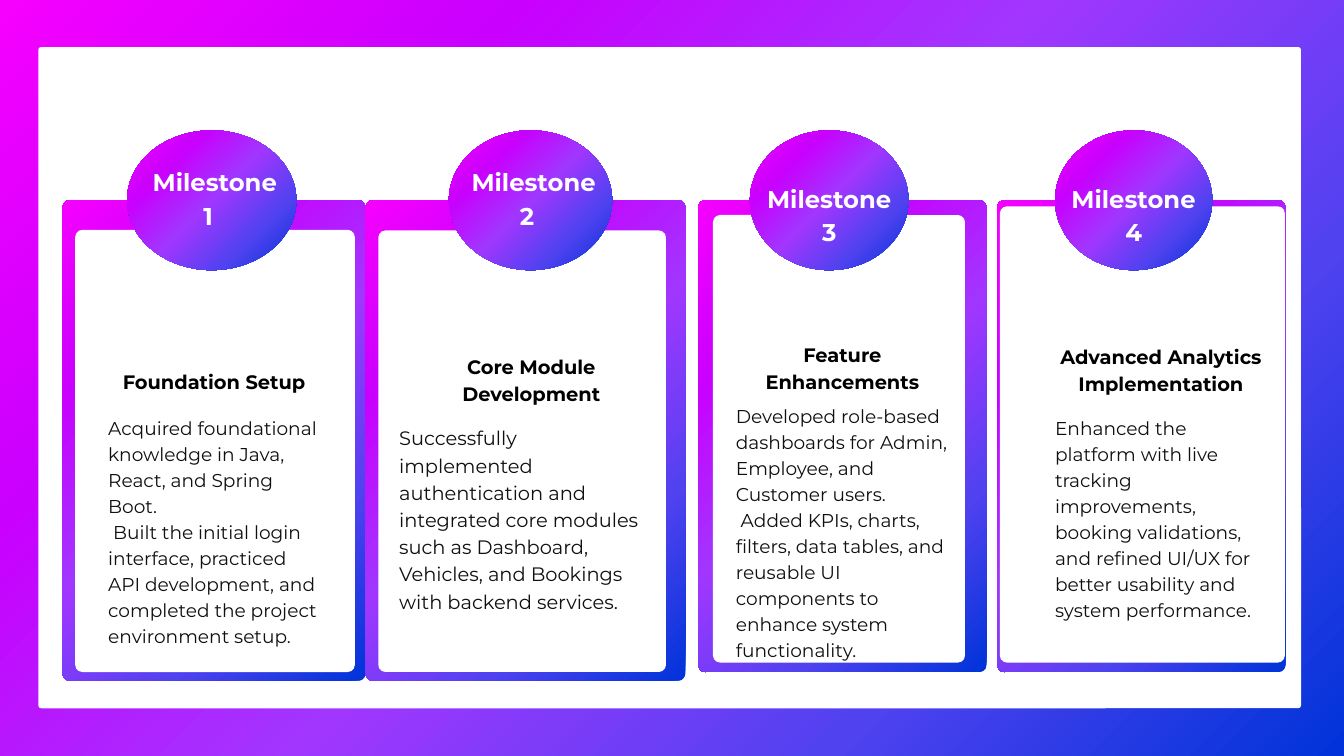
"""Build a one-slide overview of four project milestones."""
from typing import NamedTuple

from lxml import etree
from pptx import Presentation
from pptx.dml.color import RGBColor
from pptx.enum.shapes import MSO_SHAPE
from pptx.enum.text import MSO_ANCHOR, MSO_AUTO_SIZE, PP_ALIGN
from pptx.oxml.ns import qn
from pptx.util import Inches, Pt

ROUNDED, OVAL = MSO_SHAPE.ROUNDED_RECTANGLE, MSO_SHAPE.OVAL
LEFT, CENTER = PP_ALIGN.LEFT, PP_ALIGN.CENTER
TOP, MIDDLE = MSO_ANCHOR.TOP, MSO_ANCHOR.MIDDLE
FIT, FIXED = MSO_AUTO_SIZE.SHAPE_TO_FIT_TEXT, MSO_AUTO_SIZE.NONE
FONT = "Montserrat"
COLORS = {"white": "FFFFFF", "title": "000000", "body": "101010"}
GRADIENT = {0: "F600FE", 25: "C900FE", 50: "A136FF", 75: "5142F0", 100: "0033D9"}
WIDTH, HEIGHT = Inches(20), Inches(11.25)
COLS, ROWS = 200, 112.5
BADGE_INSET = 0.094
LEADING = 1.4


class Box(NamedTuple):
    """Left, top, width and height in grid columns and rows."""
    x: float
    y: float
    w: float
    h: float


class Run(NamedTuple):
    """A piece of text with one weight."""
    text: str
    bold: bool = False


class Style(NamedTuple):
    """Look of a text box."""
    size: float
    color: str
    align: PP_ALIGN = LEFT
    anchor: MSO_ANCHOR = TOP
    fit: MSO_AUTO_SIZE = FIT


class Card(NamedTuple):
    """A milestone with its frame, page, badge and texts."""
    badge_text: str
    frame: Box
    page: Box
    badge: Box
    title: str
    title_box: Box
    body: list[str]
    body_box: Box
    body_size: float = 19.9


BADGE = Style(26, "white", CENTER, MIDDLE, FIXED)
TITLE = Style(20.8, "title", CENTER)

CARDS = [
    Card("Milestone 1 ", Box(9.3, 29.8, 45.1, 71.5), Box(11.2, 34.2, 41.6, 65.8),
         Box(18.9, 19.4, 25.2, 20.8),
         "Foundation Setup", Box(16.1, 54.5, 31.5, 3.8),
         ["Acquired foundational knowledge in Java, React, and Spring Boot.",
          " Built the initial login interface, practiced API development, "
          "and completed the project environment setup."],
         Box(16.1, 61.5, 31.5, 34.4)),
    Card("Milestone 2 ", Box(54.4, 29.8, 47.6, 71.5), Box(56.3, 34.3, 42.8, 65.7),
         Box(66.8, 19.4, 24.3, 20.8),
         "Core Module Development", Box(60.1, 52.2, 37.9, 7.8),
         ["Successfully implemented authentication and integrated core modules "
          "such as Dashboard, Vehicles, and Bookings with backend services."],
         Box(59.4, 62.9, 37.5, 31.5), 20.8),
    Card("Milestone 3", Box(103.9, 29.8, 42.9, 70.2), Box(106.1, 32, 37.5, 66.6),
         Box(111.6, 19.4, 23.6, 20.8),
         "Feature Enhancements", Box(109.6, 50.5, 31.5, 7.8),
         ["Developed role-based dashboards for Admin, Employee, and Customer users.",
          " Added KPIs, charts, filters, data tables, and reusable UI components "
          "to enhance system functionality."],
         Box(109.5, 59.7, 31.5, 42.2)),
    Card("Milestone 4", Box(148.4, 29.8, 42.9, 70.2), Box(148.8, 30.7, 42.4, 67.9),
         Box(157, 19.4, 23.4, 20.8),
         "Advanced Analytics Implementation", Box(157, 50.8, 31.5, 7.8),
         ["Enhanced the platform with live tracking improvements, booking "
          "validations, and refined UI/UX for better usability and system "
          "performance."],
         Box(157, 61.5, 31.5, 34.4)),
]


def place(box: Box) -> tuple[int, int, int, int]:
    """Turn a grid box into slide lengths."""
    col, row = WIDTH / COLS, HEIGHT / ROWS
    return (round(box.x * col), round(box.y * row),
            round(box.w * col), round(box.h * row))


def fill_gradient(fill, element) -> None:
    """Spread the gradient outwards from the top left corner."""
    fill.gradient()
    grad = next(element.iter(qn("a:gradFill")))
    grad.clear()
    grad.set("rotWithShape", "1")
    stops = etree.SubElement(grad, qn("a:gsLst"))
    for share, color in GRADIENT.items():
        stop = etree.SubElement(stops, qn("a:gs"), pos=str(share * 1000))
        etree.SubElement(stop, qn("a:srgbClr"), val=color)
    circle = etree.SubElement(grad, qn("a:path"), path="circle")
    etree.SubElement(circle, qn("a:fillToRect"), l="0", t="0", r="100000", b="100000")


def add_panel(s, kind: MSO_SHAPE, box: Box, color: str = "", radius: float = 1.05) -> None:
    """Draw a borderless shape in a plain colour, or in the gradient if none is given."""
    sp = s.shapes.add_shape(kind, *place(box))
    sp.shadow.inherit = False
    sp.line.fill.background()
    if kind == ROUNDED:
        sp.adjustments[0] = radius / min(box.w, box.h)
    if color:
        sp.fill.solid()
        sp.fill.fore_color.rgb = RGBColor.from_string(COLORS[color])
    else:
        fill_gradient(sp.fill, sp._element)


def add_text(s, box: Box, paragraphs: list[list[Run]], style: Style) -> None:
    """Write paragraphs run by run in a wrapped box without margins."""
    tf = s.shapes.add_textbox(*place(box)).text_frame
    tf.word_wrap = True
    tf.auto_size = style.fit
    tf.vertical_anchor = style.anchor
    tf.margin_left = tf.margin_top = tf.margin_right = tf.margin_bottom = 0
    for i, runs in enumerate(paragraphs):
        p = tf.add_paragraph() if i else tf.paragraphs[0]
        p.alignment = style.align
        p.line_spacing = Pt(round(style.size * LEADING, 1))
        for run in runs:
            r = p.add_run()
            r.text = run.text
            r.font.name = FONT
            r.font.size = Pt(style.size)
            r.font.bold = run.bold
            r.font.color.rgb = RGBColor.from_string(COLORS[style.color])


def add_card(s, card: Card) -> None:
    """Draw one milestone card."""
    add_panel(s, ROUNDED, card.frame)
    add_panel(s, ROUNDED, card.page, "white")
    add_panel(s, OVAL, card.badge)
    x, _, w, _ = card.badge
    label = Box(x + BADGE_INSET * w, 20.1, w * (1 - 2 * BADGE_INSET), 18.1)
    add_text(s, label, [[Run(" "), Run(card.badge_text, True)]], BADGE)
    add_text(s, card.body_box, [[Run(text)] for text in card.body],
             Style(card.body_size, "body"))
    add_text(s, card.title_box, [[Run(card.title, True)]], TITLE)


def main() -> None:
    """Build and save the slide."""
    prs = Presentation()
    prs.slide_width, prs.slide_height = WIDTH, HEIGHT
    s = prs.slides.add_slide(prs.slide_layouts[6])
    fill_gradient(s.background.fill, s._element)
    add_panel(s, ROUNDED, Box(5.7, 7, 187.9, 98.4), "white", 0.45)
    for card in CARDS:
        add_card(s, card)
    prs.save("out.pptx")


if __name__ == "__main__":
    main()
